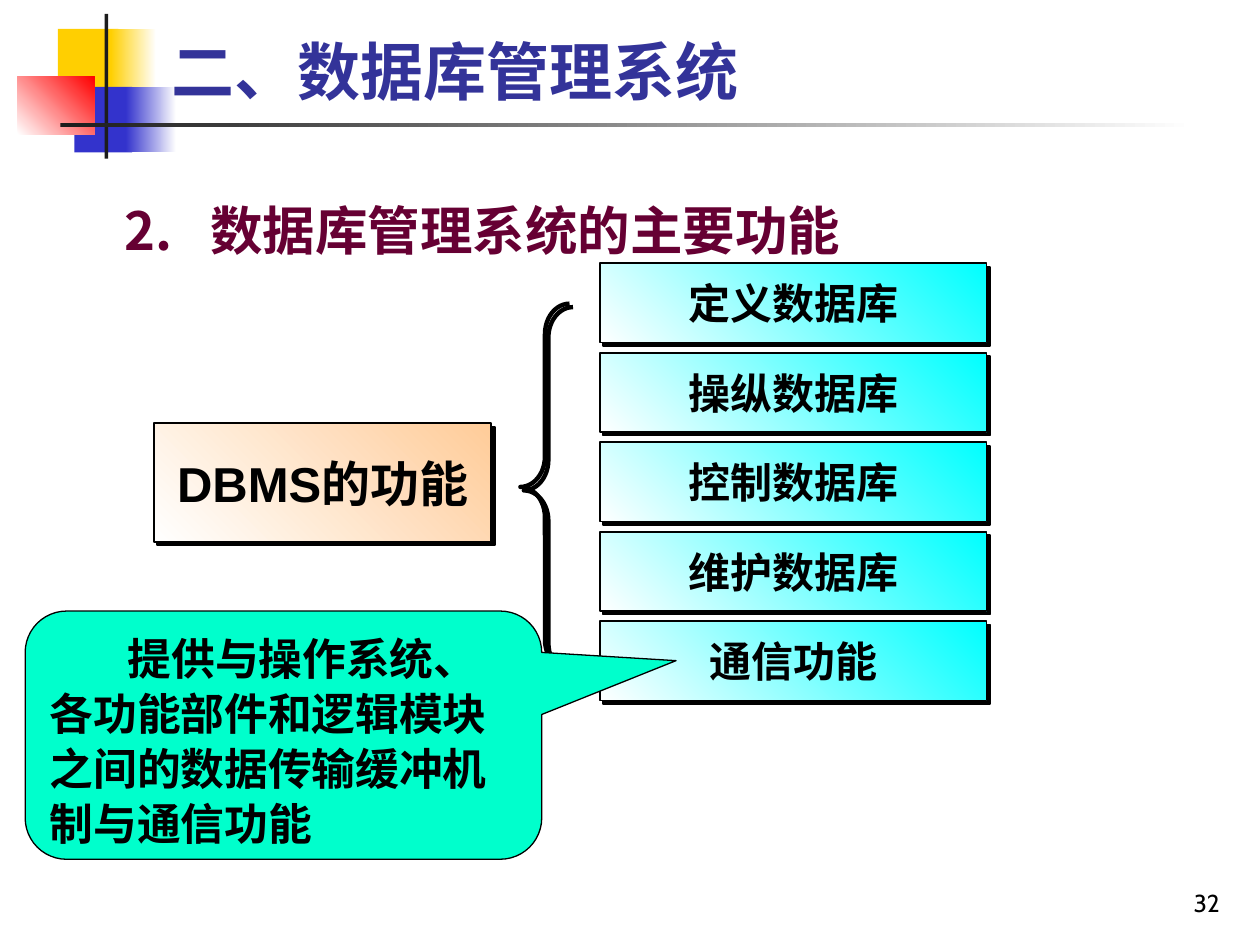
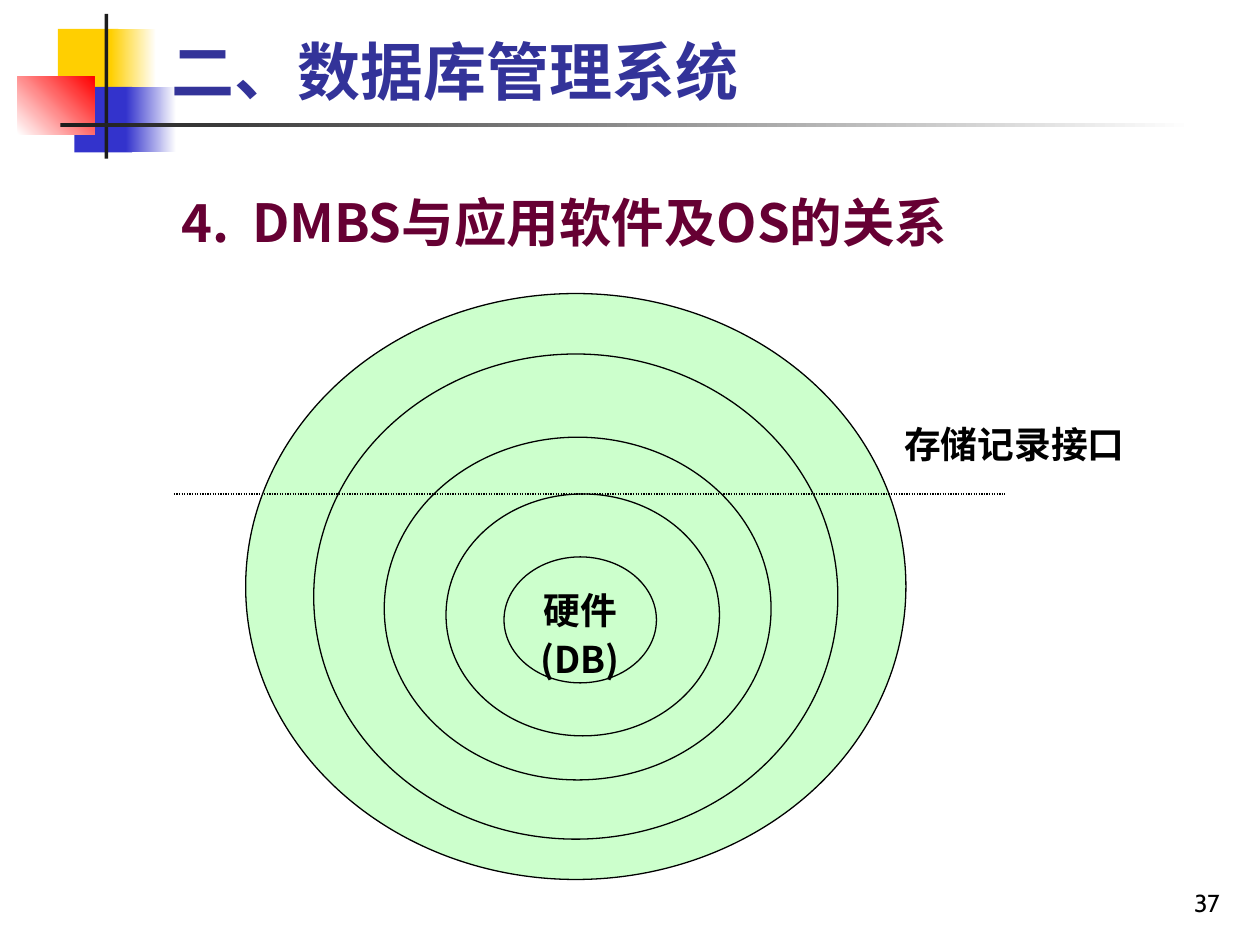
from dataclasses import dataclass

from lxml import etree
from pptx import Presentation
from pptx.dml.color import RGBColor
from pptx.enum.dml import MSO_LINE
from pptx.enum.shapes import MSO_CONNECTOR, MSO_SHAPE
from pptx.enum.text import MSO_ANCHOR, MSO_AUTO_SIZE, PP_ALIGN
from pptx.oxml.ns import qn
from pptx.util import Inches, Pt

RECT, OVAL = MSO_SHAPE.RECTANGLE, MSO_SHAPE.OVAL
BRACE, CALLOUT = MSO_SHAPE.LEFT_BRACE, MSO_SHAPE.ROUNDED_RECTANGULAR_CALLOUT
LEFT, CENTER, RIGHT = PP_ALIGN.LEFT, PP_ALIGN.CENTER, PP_ALIGN.RIGHT
TOP, MIDDLE, BOTTOM = MSO_ANCHOR.TOP, MSO_ANCHOR.MIDDLE, MSO_ANCHOR.BOTTOM


@dataclass(frozen=True)
class Theme:
    black: str = "000000"
    white: str = "FFFFFF"
    yellow: str = "FFCF01"
    blue: str = "3333CC"
    red: str = "FF0000"
    rule: str = "1C1C1C"
    title: str = "333399"
    heading: str = "660033"
    peach: str = "FFCC99"
    cyan: str = "00FFFF"
    mint: str = "00FFCC"
    ring: str = "CCFFCC"
    title_font: str = "Cabin"
    heading_font: str = "Noto Sans CJK JP"
    cjk_font: str = "Noto Sans CJK SC"
    box_font: str = "Arial"
    title_size: int = 36
    heading_size: int = 30
    root_size: int = 28
    callout_size: int = 25
    box_size: int = 24
    label_size: int = 21
    page_size: int = 14


theme = Theme()


def write(shape, text, size, font=theme.box_font, color=theme.black, bold=True,
          align=LEFT, anchor=TOP, spacing=None, margin=0, indent=0):
    """Fill a shape with one formatted paragraph; margin and indent in inches."""
    frame = shape.text_frame
    frame.word_wrap = True
    frame.auto_size = MSO_AUTO_SIZE.NONE
    frame.vertical_anchor = anchor
    paragraph = frame.paragraphs[0]
    properties = paragraph._p.get_or_add_pPr()
    properties.set("marL", str(Inches(margin)))
    properties.set("indent", str(Inches(indent)))
    etree.SubElement(properties, qn("a:buNone"))
    paragraph.alignment = align
    paragraph.space_before = Pt(0)
    if spacing:
        paragraph.line_spacing = spacing
    run = paragraph.add_run()
    run.text = text
    run.font.size = Pt(size)
    run.font.bold = bold
    run.font.name = font
    run.font.color.rgb = RGBColor.from_string(color)
    east_asian = etree.SubElement(run._r.get_or_add_rPr(), qn("a:ea"))
    east_asian.set("typeface", theme.cjk_font)


def draw(slide, kind, box, fill=None, line=None, shadow=False):
    """Add a shape; fill is a colour or (start, end, angle), line a width in points."""
    shape = slide.shapes.add_shape(kind, *map(Inches, box))
    shape.shadow.inherit = False
    if fill is None:
        shape.fill.background()
    elif isinstance(fill, tuple):
        shape.fill.gradient()
        shape.fill.gradient_angle = fill[2]
        for stop, color in zip(shape.fill.gradient_stops, fill):
            stop.color.rgb = RGBColor.from_string(color)
    else:
        shape.fill.solid()
        shape.fill.fore_color.rgb = RGBColor.from_string(fill)
    if line:
        shape.line.width = Pt(line)
        shape.line.color.rgb = RGBColor.from_string(theme.black)
    else:
        shape.line.fill.background()
    if shadow:
        effects = shape.element.spPr.find(qn("a:effectLst"))
        outer = etree.SubElement(effects, qn("a:outerShdw"), blurRad="0",
                                 dist=str(Pt(2.8)), dir="2700000", algn="ctr", rotWithShape="0")
        etree.SubElement(outer, qn("a:srgbClr"), val=theme.black)
    return shape


prs = Presentation()
prs.slide_width, prs.slide_height = Inches(10), Inches(7.5)
layout = prs.slide_layouts[1]
for placeholder in list(layout.placeholders):
    if placeholder.placeholder_format.idx >= 10:
        placeholder.element.getparent().remove(placeholder.element)

# Title, numbered heading and page number: number, top, margin, hanging indent
pages = [
    ("32", "2.\t数据库管理系统的主要功能", 1.32, 1.06, -0.68),
    ("37", "4.\tDMBS与应用软件及OS的关系", 1.26, 1.39, -0.56),
]
for number, heading, top, margin, indent in pages:
    slide = prs.slides.add_slide(layout)
    title, body = slide.placeholders
    title.left, title.top, title.width, title.height = map(Inches, (1.26, 0.23, 8.52, 0.68))
    write(title, "二、数据库管理系统", theme.title_size, font=theme.title_font,
          color=theme.title, anchor=BOTTOM)
    body.left, body.top, body.width, body.height = map(Inches, (0.51, top, 9.2, 0.88))
    write(body, heading, theme.heading_size, font=theme.heading_font, color=theme.heading,
          spacing=1.4, margin=margin, indent=indent)
    page_number = slide.shapes.add_textbox(*map(Inches, (7.7, 6.83, 2.08, 0.5)))
    write(page_number, number, theme.page_size, font=theme.title_font, bold=False,
          align=RIGHT, anchor=BOTTOM)
functions_slide, layers_slide = prs.slides

# Corner ornament and rules, moved to the layout so that both slides share them
ornament = [
    ((0.46, 0.23, 0.48, 0.52), theme.yellow),
    ((0.88, 0.23, 0.36, 0.52), (theme.yellow, theme.white, 0)),
    ((0.59, 0.69, 0.46, 0.52), theme.blue),
    ((1, 0.69, 0.4, 0.52), (theme.blue, theme.white, 0)),
    ((0.14, 0.61, 0.61, 0.46), (theme.white, theme.red, 45)),
    ((0.83, 0.11, 0.03, 1.15), theme.rule),
    ((0.48, 0.98, 9, 0.03), (theme.rule, theme.white, 0)),
]
for position, (box, fill) in enumerate(ornament, start=2):
    part = draw(functions_slide, RECT, box, fill)
    layout.shapes.element.insert(position, part.element)

# Functions of the DBMS
root = draw(functions_slide, RECT, (1.22, 3.36, 2.68, 0.94),
            (theme.white, theme.peach, 45), line=1, shadow=True)
write(root, "DBMS的功能", theme.root_size, align=CENTER, anchor=MIDDLE)

brace = draw(functions_slide, BRACE, (4.13, 2.41, 0.39, 2.91), line=2.5, shadow=True)
brace.adjustments[0] = 0.62

functions = ["定义数据库", "操纵数据库", "控制数据库", "维护数据库", "通信功能"]
for row, name in enumerate(functions):
    function_box = draw(functions_slide, RECT, (4.76, 2.09 + 0.71 * row, 3.07, 0.63),
                        (theme.white, theme.cyan, 45), line=1, shadow=True)
    write(function_box, name, theme.box_size, align=CENTER, anchor=MIDDLE)

explanation = draw(functions_slide, CALLOUT, (0.2, 4.85, 4.1, 1.97), theme.mint, line=0.75)
explanation.adjustments[0] = 0.76
explanation.adjustments[1] = -0.3
write(explanation, "提供与操作系统、各功能部件和逻辑模块之间的数据传输缓冲机制与通信功能",
      theme.callout_size, spacing=1.05, indent=0.62)

# Layers around the hardware, from the outside in
rings = [
    (1.95, 2.33, 5.24, 4.65),
    (2.49, 2.81, 4.16, 3.85),
    (3.05, 3.47, 3.07, 2.72),
    (3.54, 3.92, 2.17, 1.92),
    (4, 4.42, 1.21, 1),
]
for ring in rings:
    draw(layers_slide, OVAL, ring, theme.ring, line=0.75)

interface_line = layers_slide.shapes.add_connector(
    MSO_CONNECTOR.STRAIGHT, *map(Inches, (1.38, 3.92, 7.98, 3.92)))
interface_line.line.width = Pt(0.75)
interface_line.line.color.rgb = RGBColor.from_string(theme.black)
interface_line.line.dash_style = MSO_LINE.ROUND_DOT
etree.SubElement(interface_line.element.spPr, qn("a:effectLst"))

hardware = draw(layers_slide, RECT, (4.18, 4.57, 0.85, 0.65), theme.ring)
write(hardware, "硬件(DB)", theme.label_size, font=theme.cjk_font, align=CENTER, spacing=1.12)

interface_label = layers_slide.shapes.add_textbox(*map(Inches, (7.01, 3.3, 2.08, 0.48)))
write(interface_label, "存储记录接口", theme.label_size, font=theme.cjk_font, align=CENTER)

prs.save("out.pptx")
